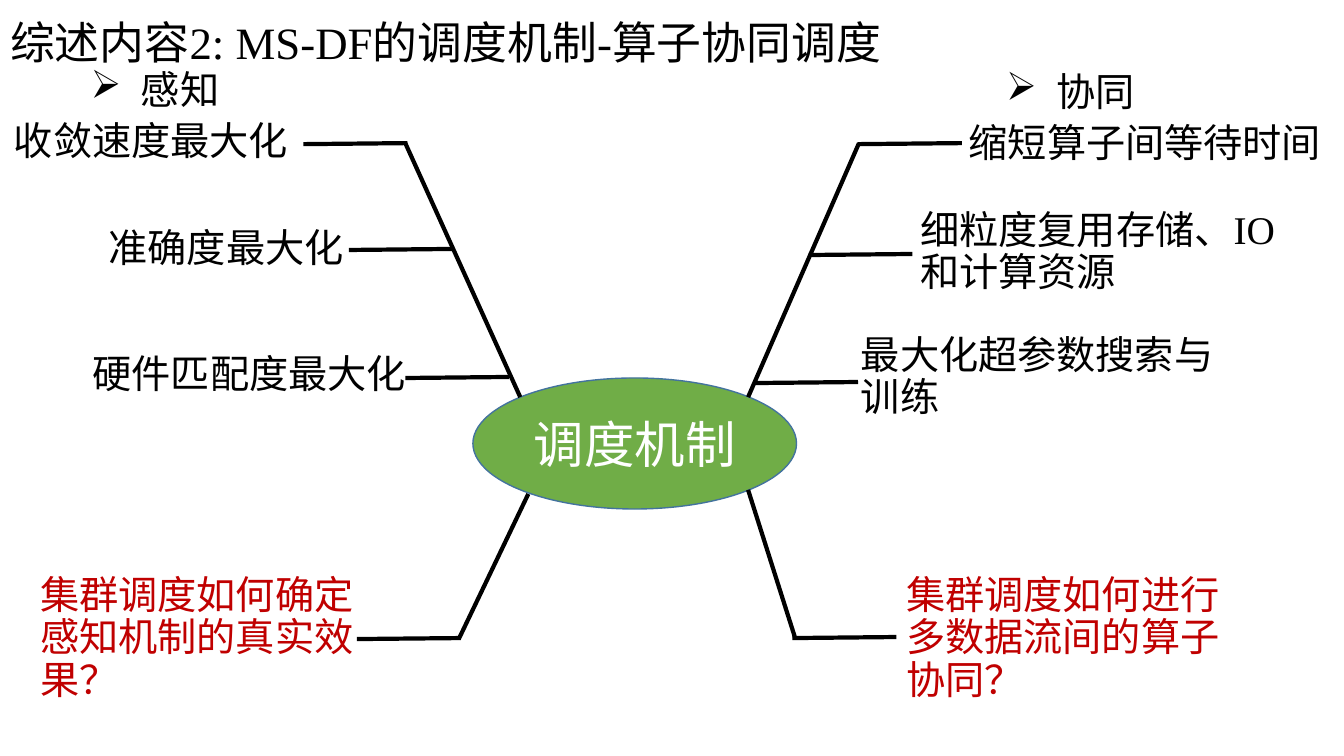
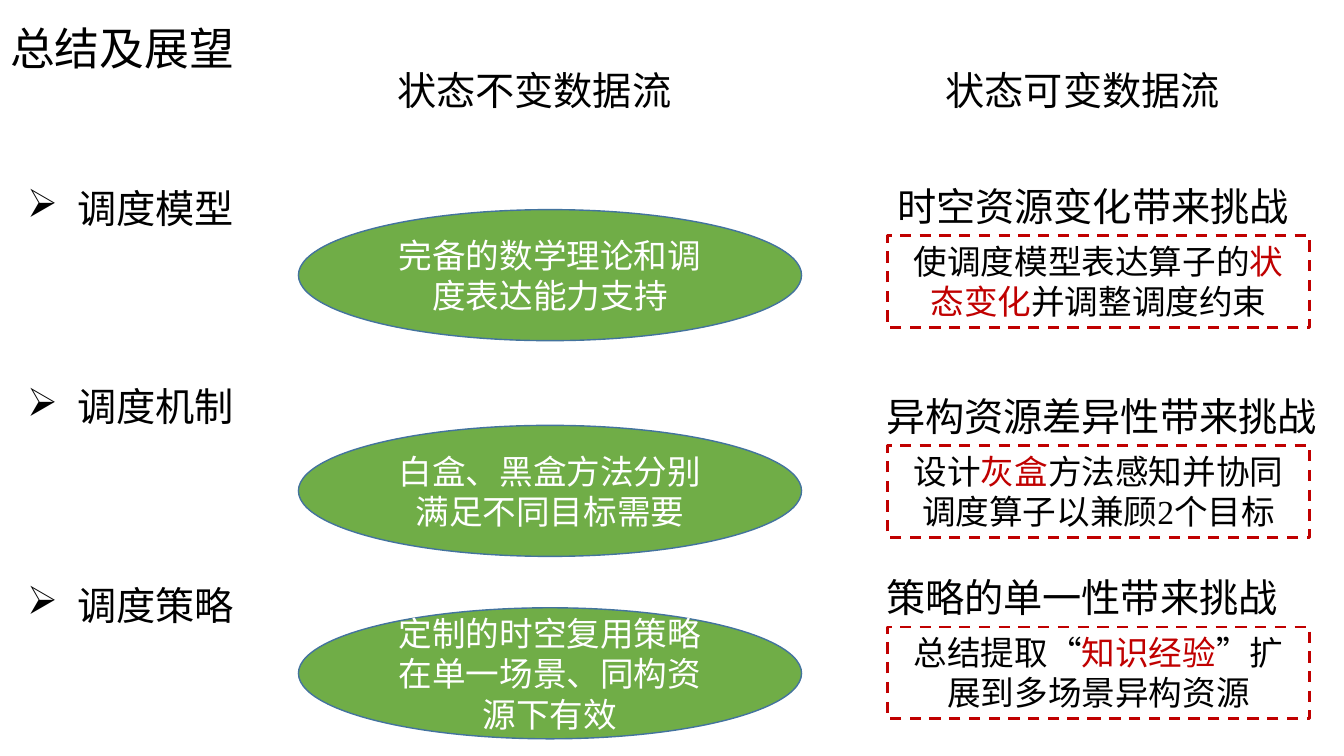
from lxml.etree import SubElement
from pptx import Presentation
from pptx.dml.color import RGBColor
from pptx.enum.dml import MSO_LINE
from pptx.enum.shapes import MSO_CONNECTOR, MSO_SHAPE
from pptx.enum.text import MSO_ANCHOR, MSO_AUTO_SIZE, PP_ALIGN
from pptx.oxml.ns import qn
from pptx.util import Emu, Pt

COLORS = {
    "ink": "000000",
    "accent": "C00000",
    "hub": "70AD47",
    "hub_edge": "43739E",
    "light": "FFFFFF",
}
LATIN = "Times New Roman"
CJK = "Noto Sans CJK SC"
TITLE_SIZE, BODY_SIZE, DETAIL_SIZE, HUB_SIZE = 32, 28, 24, 36
TWIG_LENGTH, TWIG_DROP = 103, 1


def px(value):
    return Emu(value * 9144)


def scaled(box):
    return [px(value) for value in box]


def color(name):
    return RGBColor.from_string(COLORS[name])


def write(shape, runs, size, font=LATIN, align=PP_ALIGN.LEFT, spacing=None, anchor=MSO_ANCHOR.MIDDLE):
    frame = shape.text_frame
    frame.word_wrap = True
    frame.auto_size = MSO_AUTO_SIZE.NONE
    frame.vertical_anchor = anchor
    paragraph = frame.paragraphs[0]
    paragraph.alignment = align
    if spacing:
        paragraph.line_spacing = spacing
    for words, tone in runs:
        run = paragraph.add_run()
        run.text = words
        run.font.size = Pt(size)
        run.font.name = font
        run.font.color.rgb = color(tone)
        SubElement(run.font._element, qn("a:ea"), typeface=CJK)
    return paragraph


def add_titled_slide(deck, title, top):
    slide = deck.slides.add_slide(deck.slide_layouts[5])
    heading = slide.shapes.title
    heading.left, heading.top, heading.width, heading.height = scaled((0, top, 1299, 102))
    write(heading, [(title, "ink")], TITLE_SIZE, spacing=0.9)
    return slide


def add_label(slide, box, words, tone="ink"):
    label = slide.shapes.add_textbox(*scaled(box))
    return write(label, [(words, tone)], BODY_SIZE, spacing=0.9)


def add_bullet(slide, box, words):
    properties = add_label(slide, box, words)._p.get_or_add_pPr()
    properties.set("marL", str(px(50)))
    properties.set("indent", str(-px(50)))
    SubElement(properties, qn("a:buChar"), char="➢")


def add_ellipse(slide, box, words, size):
    ellipse = slide.shapes.add_shape(MSO_SHAPE.OVAL, *scaled(box))
    ellipse.shadow.inherit = False
    ellipse.fill.solid()
    ellipse.fill.fore_color.rgb = color("hub")
    ellipse.line.color.rgb = color("hub_edge")
    ellipse.line.width = Pt(1)
    write(ellipse, [(words, "light")], size, CJK, PP_ALIGN.CENTER)


def add_dashed_box(slide, box, runs):
    frame = slide.shapes.add_shape(MSO_SHAPE.RECTANGLE, *scaled(box))
    frame.shadow.inherit = False
    frame.fill.background()
    frame.line.color.rgb = color("accent")
    frame.line.width = Pt(2)
    frame.line.dash_style = MSO_LINE.DASH
    write(frame, runs, DETAIL_SIZE, align=PP_ALIGN.CENTER, anchor=MSO_ANCHOR.TOP)


def add_line(slide, x1, y1, x2, y2):
    line = slide.shapes.add_connector(MSO_CONNECTOR.STRAIGHT, *scaled((x1, y1, x2, y2)))
    line.line.color.rgb = color("ink")
    line.line.width = Pt(3)
    SubElement(line._element.spPr, qn("a:effectLst"))


def add_branch(slide, box, rising, twigs, tone="ink"):
    left, top, width, height = box
    start, end = (top + height, top) if rising else (top, top + height)
    add_line(slide, left, start, left + width, end)
    for (x, y), (label_x, label_y, label_width, label_height), words in twigs:
        twig_x, twig_y = left + x, top + y
        add_line(slide, twig_x, twig_y, twig_x - TWIG_LENGTH, twig_y + TWIG_DROP)
        label_box = (left + label_x, top + label_y, label_width, label_height)
        add_label(slide, label_box, words, tone)


def build_mechanism(deck):
    slide = add_titled_slide(deck, "综述内容2: MS-DF的调度机制-算子协同调度", -6)
    add_ellipse(slide, (469, 375, 321, 130), "调度机制", HUB_SIZE)
    add_bullet(slide, (80, 40, 224, 102), "感知")
    add_bullet(slide, (988, 42, 224, 102), "协同")
    add_branch(slide, (402, 142, 114, 252), False, [
        ((2, 0), (-398, -28, 296, 56), "收敛速度最大化"),
        ((47, 105), (-304, 78, 296, 56), "准确度最大化"),
        ((103, 232), (-320, 203, 340, 56), "硬件匹配度最大化"),
    ])
    add_branch(slide, (742, 142, 110, 252), True, [
        ((212, 0), (209, -26, 382, 56), "缩短算子间等待时间"),
        ((163, 110), (161, 81, 407, 56), "细粒度复用存储、IO和计算资源"),
        ((109, 237), (102, 205, 407, 56), "最大化超参数搜索与训练"),
    ])
    add_branch(slide, (455, 490, 69, 144), True, [
        ((2, 143), (-425, 79, 340, 130), "集群调度如何确定感知机制的真实效果？"),
    ], "accent")
    add_branch(slide, (742, 486, 47, 148), False, [
        ((147, 146), (147, 120, 340, 56), "集群调度如何进行多数据流间的算子协同？"),
    ], "accent")


def add_summary_row(slide, topic_top, strength_top, plan_top, challenge_left, row):
    topic, strength, challenge, plan = row
    add_bullet(slide, (17, topic_top, 265, 102), topic)
    add_ellipse(slide, (296, strength_top, 499, 130), strength, DETAIL_SIZE)
    add_dashed_box(slide, (880, plan_top, 419, 91), plan)
    add_label(slide, (challenge_left, plan_top - 78, 457, 102), challenge)


def build_summary(deck):
    slide = add_titled_slide(deck, "总结及展望", 0)
    for left, stream in ((384, "状态不变数据流"), (928, "状态可变数据流")):
        add_label(slide, (left, 41, 301, 102), stream)
    rows = [
        (208, 234, 880, (
            "调度模型", "完备的数学理论和调度表达能力支持", "时空资源变化带来挑战",
            [("使调度模型表达算子的", "ink"), ("状态变化", "accent"), ("并调整调度约束", "ink")],
        )),
        (422, 442, 869, (
            "调度机制", "白盒、黑盒方法分别满足不同目标需要", "异构资源差异性带来挑战",
            [("设计", "ink"), ("灰盒", "accent"), ("方法感知并协同调度算子以兼顾2个目标", "ink")],
        )),
        (603, 622, 869, (
            "调度策略", "定制的时空复用策略在单一场景、同构资源下有效", "策略的单一性带来挑战",
            [("总结提取“", "ink"), ("知识经验", "accent"), ("”扩展到多场景异构资源", "ink")],
        )),
    ]
    for index, (strength_top, plan_top, challenge_left, row) in enumerate(rows):
        add_summary_row(slide, 158 + 197 * index, strength_top, plan_top, challenge_left, row)


def main():
    deck = Presentation()
    deck.slide_width, deck.slide_height = px(1333), px(750)
    build_mechanism(deck)
    build_summary(deck)
    deck.save("out.pptx")


if __name__ == "__main__":
    main()
